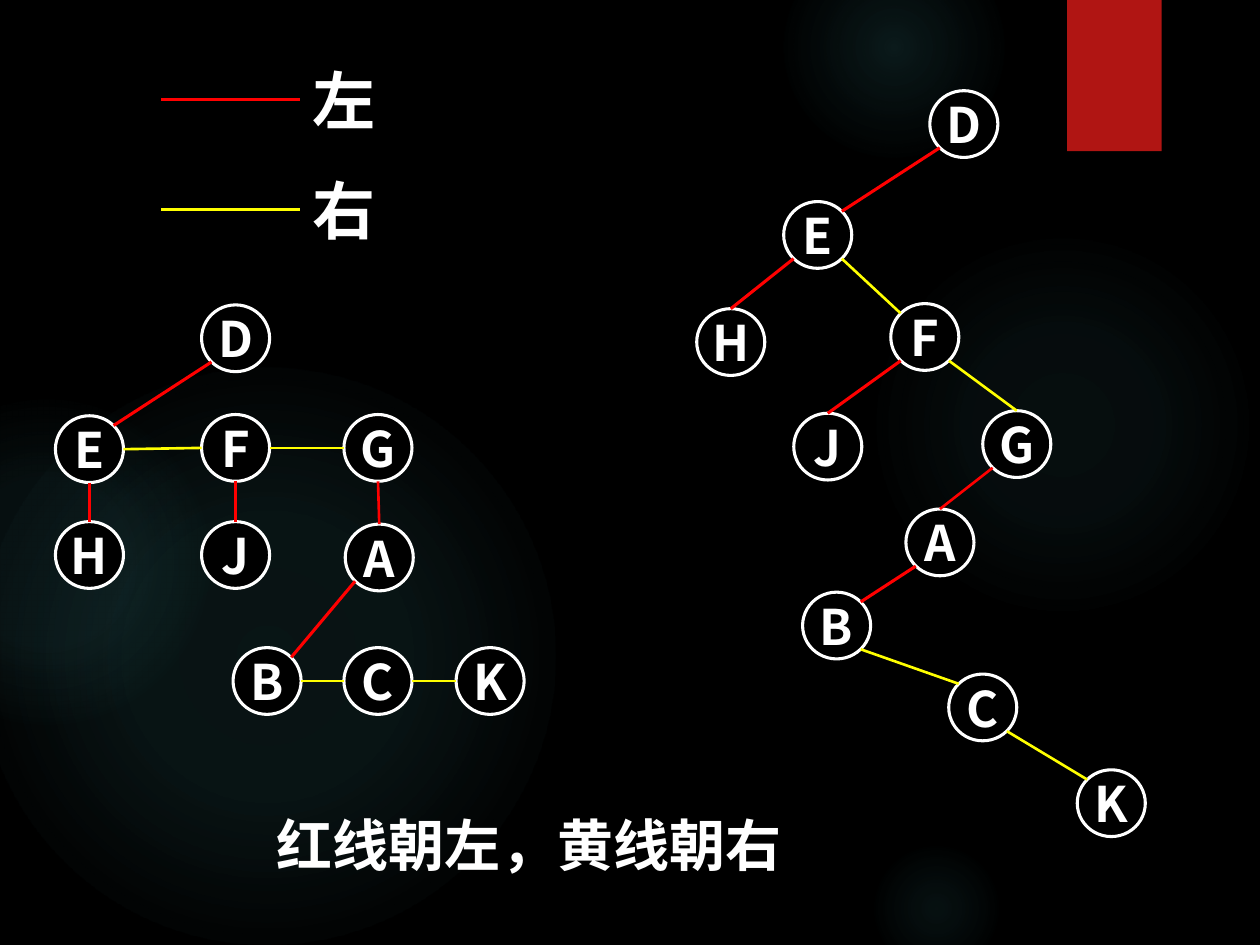
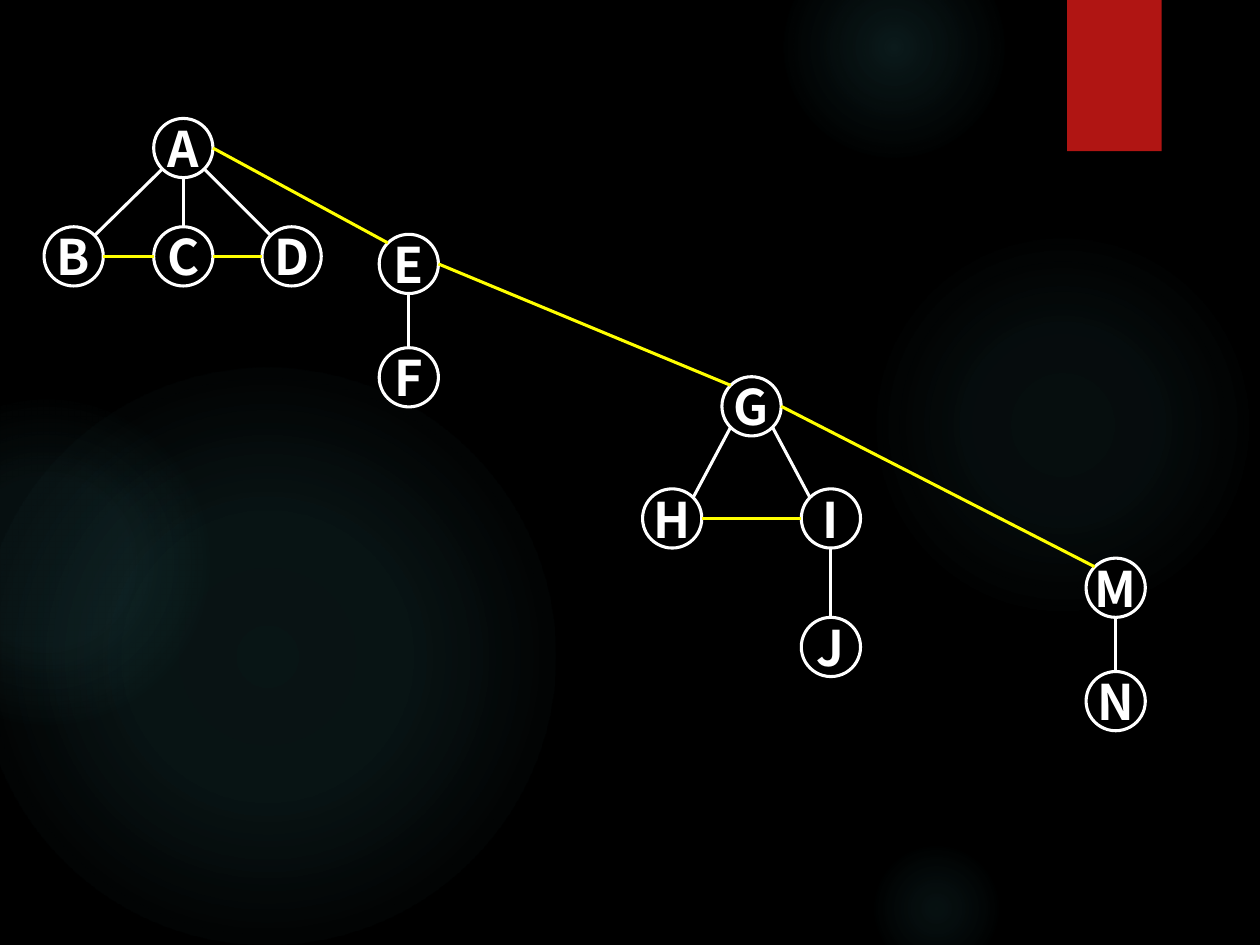
from lxml import etree
from pptx import Presentation, dml
from pptx import oxml
from pptx.dml.color import RGBColor
from pptx.enum import shapes, text
from pptx.oxml import ns
from pptx.util import Inches, Pt

INK = {"black": "000000", "white": "FFFFFF", "red": "FF0000",
       "yellow": "FFFF00", "glow": "50B9C1", "band": "B01513"}
SANS, ROUND = "Noto Sans CJK SC", "Quicksand"

# left, top, size, then (stop %, alpha %)
GLOWS = [
    (6.89, 1.83, 3.08, [(0, 7), (36, 6), (69, 0)]),
    (6.22, -0.5, 1.75, [(0, 14), (36, 7), (73, 0)]),
    (6.89, 6.67, 1.08, [(0, 9), (36, 5), (66, 0)]),
    (-0.17, 2.92, 4.58, [(0, 11), (36, 10), (75, 0)]),
    (-0.92, 3.17, 2.58, [(0, 8), (36, 8), (72, 0)]),
]
BAND = (8.47, 0, 0.75, 1.2)

# Points of a circle, as shares of its radius
DIAG = 0.71
SITES = {"N": (0, -1), "S": (0, 1), "W": (-1, 0), "E": (1, 0),
         "NW": (-DIAG, -DIAG), "NE": (DIAG, -DIAG),
         "SW": (-DIAG, DIAG), "SE": (DIAG, DIAG)}
# Edge kind: colour, width
KINDS = {"left": ("red", 1.75), "thin": ("red", 1.5), "right": ("yellow", 1.5),
         "child": ("white", 1.75), "next": ("yellow", 1.75)}

LEGEND = [("左", "red", 0.44), ("右", "yellow", 1.31)]
NOTE = "红线朝左，黄线朝右"

# Each tree: node size, node places, edges as "from site to site kind"
LINKED = {
    "size": (0.54, 0.53),
    "nodes": {"D": (1.6, 2.42), "E": (0.44, 3.3), "F": (1.6, 3.29),
              "G": (2.73, 3.29), "H": (0.44, 4.14), "J": (1.6, 4.14),
              "A": (2.74, 4.16), "B": (1.85, 5.14), "C": (2.73, 5.14),
              "K": (3.62, 5.14)},
    "edges": ["D SW E NE left", "E S H N left", "F S J N left",
              "A SW B NE left", "G S A N thin", "E E F W right",
              "F E G W right", "B E C W right", "C E K W right"],
}
BINARY = {
    "size": (0.54, 0.53),
    "nodes": {"D": (7.38, 0.72), "E": (6.22, 1.6), "F": (7.07, 2.41),
              "G": (7.8, 3.26), "H": (5.53, 2.45), "J": (6.3, 3.28),
              "A": (7.19, 4.04), "B": (6.37, 4.7), "C": (7.53, 5.35),
              "K": (8.55, 6.11)},
    "edges": ["D SW E NE left", "E SW H N left", "F SW J N left",
              "A SW B NE left", "G SW A N thin", "E SE F NW right",
              "F SE G N right", "B SE C NW right", "C SE K NW right"],
}
FOREST = {
    "size": (0.47, 0.47),
    "nodes": {"A": (1.22, 0.94), "B": (0.35, 1.8), "C": (1.22, 1.8),
              "D": (2.08, 1.8), "E": (3.01, 1.86), "F": (3.01, 2.76),
              "G": (5.73, 2.99), "H": (5.1, 3.88), "I": (6.36, 3.88),
              "J": (6.36, 4.9), "M": (8.62, 4.43), "N": (8.62, 5.33)},
    "edges": ["A SW B NE child", "A S C N child", "A SE D NW child",
              "E S F N child", "G SW H NE child", "G SE I NW child",
              "I S J N child", "M S N N child", "A E E NW next",
              "E E G NW next", "G E M NW next", "B E C W next",
              "C E D W next", "H E I W next"],
}


def rgb(name):
    return RGBColor.from_string(INK[name])


def block(slide, kind, *box, fill="black", line=None):
    item = slide.shapes.add_shape(kind, *map(Inches, box))
    item.shadow.inherit = False
    item.fill.solid()
    item.fill.fore_color.rgb = rgb(fill)
    if line:
        item.line.color.rgb = rgb(line)
        item.line.width = Pt(1.75)
    else:
        item.line.fill.background()
    return item


def write(item, words, size=28, font=SANS, align=None, anchor=None, wrap=True):
    frame = item.text_frame
    frame.word_wrap = wrap
    if anchor is not None:
        frame.vertical_anchor = anchor
    para = frame.paragraphs[0]
    para.alignment = align
    run = para.add_run()
    run.text = words
    run.font.size, run.font.bold, run.font.name = Pt(size), True, font
    run.font.color.rgb = rgb("white")
    east = etree.SubElement(run.font._element, ns.qn("a:ea"))
    east.set("typeface", font)


def label(slide, words, *box, **style):
    write(slide.shapes.add_textbox(*map(Inches, box)), words, **style)


def rule(slide, start, end, color, width=1.75):
    wire = slide.shapes.add_connector(
        shapes.MSO_CONNECTOR.STRAIGHT, *map(Inches, (*start, *end)))
    wire.line.color.rgb = rgb(color)
    wire.line.width = Pt(width)
    etree.SubElement(wire._element.spPr, ns.qn("a:effectLst"))


def glow(slide, left, top, size, stops):
    item = block(slide, shapes.MSO_SHAPE.OVAL, left, top, size, size)
    marks = "".join(
        f'<a:gs pos="{pos * 1000}"><a:srgbClr val="{INK["glow"]}">'
        f'<a:alpha val="{alpha * 1000}"/></a:srgbClr></a:gs>'
        for pos, alpha in stops)
    fade = oxml.parse_xml(
        f'<a:gradFill {ns.nsdecls("a")}><a:gsLst>{marks}</a:gsLst>'
        '<a:path path="circle"><a:fillToRect l="50000" t="50000" '
        'r="50000" b="50000"/></a:path></a:gradFill>')
    props = item._element.spPr
    props.replace(props.find(ns.qn("a:solidFill")), fade)


def band(slide):
    item = block(slide, shapes.MSO_SHAPE.RECTANGLE, *BAND, fill="band")
    item._element.spPr.find(ns.qn("a:effectLst")).append(oxml.parse_xml(
        f'<a:outerShdw {ns.nsdecls("a")} blurRad="{Pt(3)}" dist="{Pt(2)}" '
        f'dir="5400000"><a:srgbClr val="{INK["black"]}">'
        '<a:alpha val="45000"/></a:srgbClr></a:outerShdw>'))


def tree(slide, size, nodes, edges):
    wide, high = size

    def spot(name, site):
        (left, top), (across, down) = nodes[name], SITES[site]
        return left + wide / 2 * (1 + across), top + high / 2 * (1 + down)

    for name, place in nodes.items():
        node = block(slide, shapes.MSO_SHAPE.OVAL, *place, *size, line="white")
        write(node, name, align=text.PP_ALIGN.CENTER,
              anchor=text.MSO_ANCHOR.MIDDLE, wrap=False)
    for edge in edges:
        start, out, end, into, kind = edge.split()
        rule(slide, spot(start, out), spot(end, into), *KINDS[kind])


def page(deck, *trees):
    slide = deck.slides.add_slide(deck.slide_layouts[6])
    back = slide.background.fill
    back.solid()
    back.fore_color.rgb = rgb("black")
    for item in GLOWS:
        glow(slide, *item)
    band(slide)
    for item in trees:
        tree(slide, **item)
    return slide


def main():
    deck = Presentation()
    deck.slide_width, deck.slide_height = Inches(10), Inches(7.5)
    slide = page(deck, LINKED, BINARY)
    for words, color, top in LEGEND:
        label(slide, words, 2.38, top, 1.41, 0.71, size=36, font=ROUND)
        rule(slide, (2.38, top + 0.35), (1.28, top + 0.35), color)
    label(slide, NOTE, 2.1, 6.38, 5.17, 0.64, size=32)
    page(deck, FOREST)
    deck.save("out.pptx")


if __name__ == "__main__":
    main()
